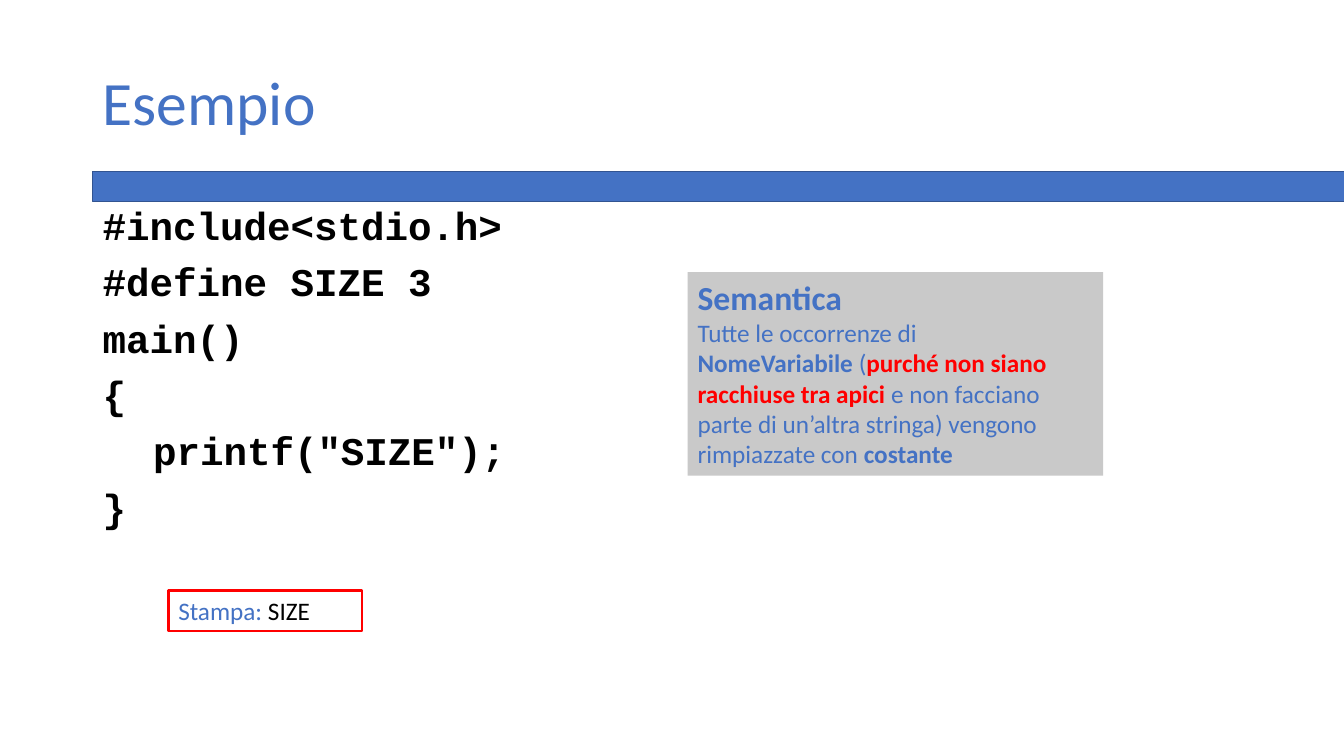
from dataclasses import dataclass

from pptx import Presentation
from pptx.dml.color import RGBColor
from pptx.enum.shapes import MSO_SHAPE
from pptx.enum.text import MSO_ANCHOR, PP_ALIGN
from pptx.util import Inches, Pt


@dataclass(frozen=True)
class Theme:
    blue: RGBColor = RGBColor.from_string("4472C4")
    navy: RGBColor = RGBColor.from_string("325491")
    red: RGBColor = RGBColor.from_string("FF0000")
    gray: RGBColor = RGBColor.from_string("C9C9C9")
    black: RGBColor = RGBColor.from_string("000000")
    text_font: str = "Calibri"
    code_font: str = "Courier New"
    title_size: int = 44
    code_size: int = 28
    heading_size: int = 24
    text_size: int = 18


theme = Theme()


def add_box(left, top, width, height, fill=None, line=None, line_width=1):
    shape = slide.shapes.add_shape(
        MSO_SHAPE.RECTANGLE, Inches(left), Inches(top), Inches(width), Inches(height)
    )
    shape.shadow.inherit = False
    if fill is None:
        shape.fill.background()
    else:
        shape.fill.solid()
        shape.fill.fore_color.rgb = fill
    if line is None:
        shape.line.fill.background()
    else:
        shape.line.color.rgb = line
        shape.line.width = Pt(line_width)
    return shape


def write_lines(shape, lines, font, size, anchor=MSO_ANCHOR.TOP, spacing=1.0, before=0):
    text_frame = shape.text_frame
    text_frame.word_wrap = True
    text_frame.vertical_anchor = anchor
    text_frame.text = "\n" * (len(lines) - 1)
    for paragraph, pieces in zip(text_frame.paragraphs, lines):
        paragraph.alignment = PP_ALIGN.LEFT
        paragraph.line_spacing = spacing
        paragraph.space_before = Pt(before)
        for text, color, bold in pieces:
            run = paragraph.add_run()
            run.text = text
            run.font.name = font
            run.font.size = Pt(size)
            run.font.color.rgb = color
            run.font.bold = bold


presentation = Presentation()
presentation.slide_width = Inches(13.33)
presentation.slide_height = Inches(7.5)
slide = presentation.slides.add_slide(presentation.slide_layouts[6])

add_box(0.92, 1.7, 12.42, 0.3, theme.blue, theme.navy)

title = slide.shapes.add_textbox(Inches(0.92), Inches(0.4), Inches(11.5), Inches(1.3))
write_lines(title, [[("Esempio", theme.blue, False)]], theme.text_font,
            theme.title_size, MSO_ANCHOR.MIDDLE, 0.9)

code_lines = ["#include<stdio.h>", "#define SIZE 3", "main()", "{", '\tprintf("SIZE");', "}"]
code = slide.shapes.add_textbox(Inches(0.92), Inches(2), Inches(5.52), Inches(4.76))
write_lines(code, [[(line, theme.black, True)] for line in code_lines],
            theme.code_font, theme.code_size, spacing=0.9, before=10)

output = add_box(1.67, 5.86, 1.92, 0.4, line=theme.red, line_width=2)
write_lines(output, [[("Stampa: ", theme.blue, False), ("SIZE", theme.black, False)]],
            theme.text_font, theme.text_size)

semantics_lines = [
    [("Semantica", theme.blue, True)],
    [("Tutte le occorrenze di", theme.blue, False)],
    [("NomeVariabile ", theme.blue, True), ("(", theme.blue, False),
     ("purché non siano", theme.red, True)],
    [("racchiuse tra apici ", theme.red, True), ("e non facciano", theme.blue, False)],
    [("parte di un’altra stringa) vengono", theme.blue, False)],
    [("rimpiazzate con ", theme.blue, False), ("costante", theme.blue, True)],
]
semantics = add_box(6.82, 2.7, 4.12, 2.02, theme.gray)
write_lines(semantics, semantics_lines, theme.text_font, theme.text_size)
heading = semantics.text_frame.paragraphs[0].runs[0]
heading.font.size = Pt(theme.heading_size)

presentation.save("out.pptx")
